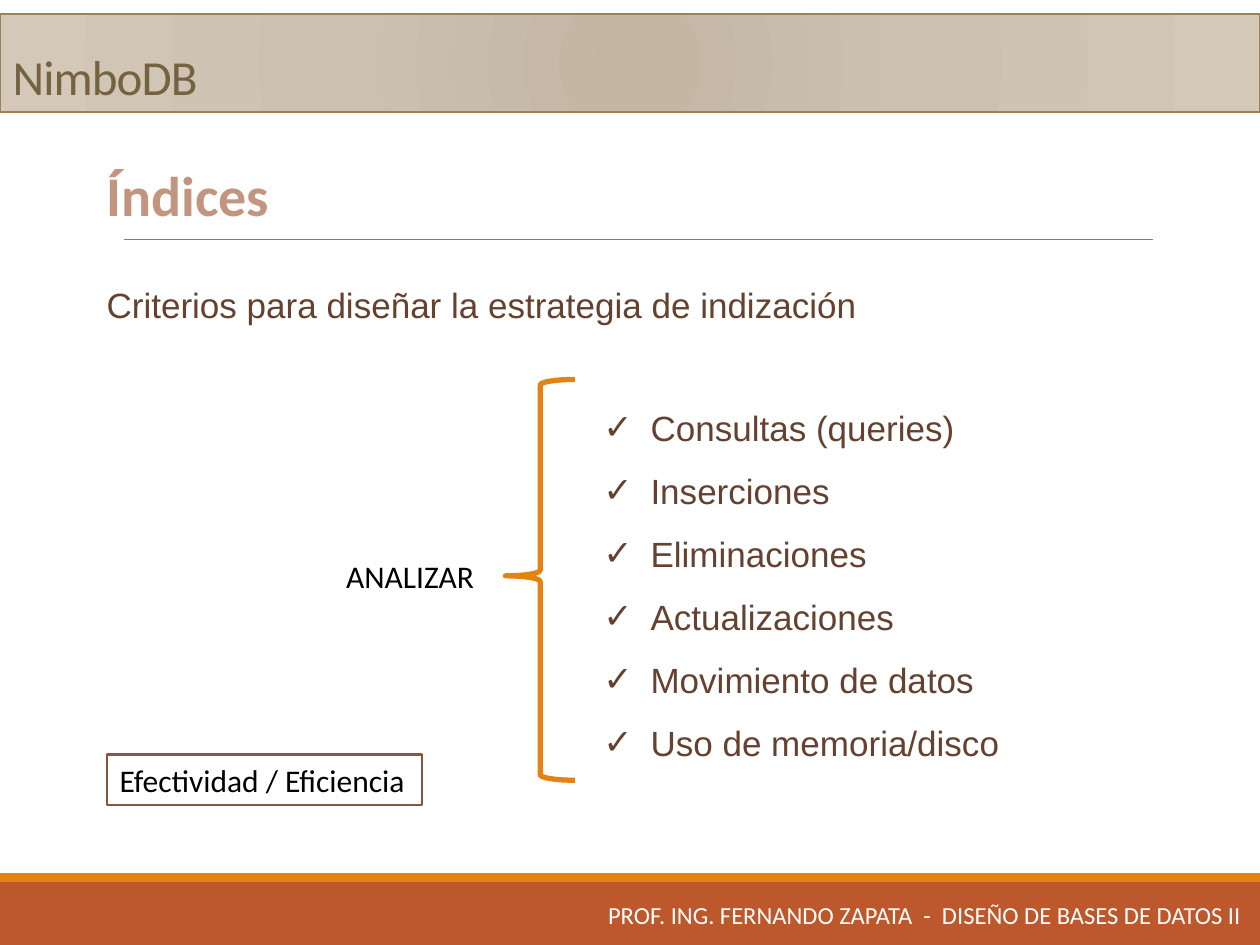
from lxml import etree
from pptx import Presentation
from pptx.dml.color import RGBColor
from pptx.enum.shapes import MSO_CONNECTOR as CONN, MSO_SHAPE as SHAPE
from pptx.enum.text import MSO_ANCHOR as ANCHOR, MSO_AUTO_SIZE as AUTO, PP_ALIGN as ALIGN
from pptx.oxml import parse_xml
from pptx.oxml.ns import nsdecls, qn
from pptx.util import Cm, Pt


def rgb(value):
    return RGBColor.from_string(value)


def write(sp, text, size, color, font="Calibri", bold=False):
    tf = sp.text_frame
    tf.text = text
    tf.auto_size = AUTO.NONE
    tf.word_wrap = True
    for p in tf.paragraphs:
        p.alignment = ALIGN.LEFT
        p.font.size = Pt(size)
        p.font.name = font
        p.font.bold = bold
        p.font.color.rgb = rgb(color)
    return tf


prs = Presentation()
prs.slide_width, prs.slide_height = Cm(25.4), Cm(19.05)
s = prs.slides.add_slide(prs.slide_layouts[1])
title, body = s.placeholders

for top, height, color in [(17.78, 1.27, "BD582C"), (17.6, 0.18, "E48312")]:
    sp = s.shapes.add_shape(SHAPE.RECTANGLE, 0, Cm(top), prs.slide_width, Cm(height))
    sp.shadow.inherit = False
    sp.fill.solid()
    sp.fill.fore_color.rgb = rgb(color)
    sp.line.fill.background()

rule = s.shapes.add_connector(CONN.STRAIGHT, Cm(2.49), Cm(4.83), Cm(23.24), Cm(4.83))
rule.line.color.rgb = rgb("808080")
rule.line.width = Pt(0.5)
etree.SubElement(rule._element.spPr, qn("a:effectLst"))

title.left, title.top, title.width, title.height = 0, Cm(0.28), prs.slide_width, Cm(1.98)
tf = write(title, "NimboDB", 28, "746241")
tf.vertical_anchor = ANCHOR.BOTTOM
p = tf.paragraphs[0]
p.line_spacing = 0.85
p.runs[0]._r.get_or_add_rPr().set("spc", "-50")
title.line.color.rgb = rgb("9B8357")
title.line.width = Pt(1)
stops = "".join(
    f'<a:gs pos="{pos * 1000}"><a:srgbClr val="{color}"/></a:gs>'
    for pos, color in [(0, "C2B5A2"), (45, "CCC1B1"), (100, "D4C8B8")]
)
title._element.spPr.find(qn("a:ln")).addprevious(parse_xml(
    f'<a:gradFill {nsdecls("a")} rotWithShape="1"><a:gsLst>{stops}</a:gsLst><a:path path="circle">'
    '<a:fillToRect l="100000" t="100000" r="100000" b="100000"/></a:path></a:gradFill>'
))

sp = s.shapes.add_textbox(Cm(1.9), Cm(3.12), Cm(16.4), Cm(1.63))
write(sp, "Índices", 32, "C29580", bold=True)

sp = s.shapes.add_textbox(Cm(10.72), Cm(17.93), Cm(14.68), Cm(1.02))
tf = write(sp, "PROF. ING. FERNANDO ZAPATA  -  DISEÑO DE BASES DE DATOS II", 14, "FFFFFF")
tf.vertical_anchor = ANCHOR.MIDDLE
tf.margin_right = Cm(0.38)
tf.paragraphs[0].alignment = ALIGN.RIGHT

sp = s.shapes.add_textbox(Cm(1.9), Cm(5.59), Cm(19.1), Cm(2.13))
write(sp, "Criterios para diseñar la estrategia de indización", 20, "654130", "Arial")

body.left, body.top, body.width, body.height = Cm(11.91), Cm(7.65), Cm(8.99), Cm(8.97)
criteria = [
    "Consultas (queries)",
    "Inserciones",
    "Eliminaciones",
    "Actualizaciones",
    "Movimiento de datos",
    "Uso de memoria/disco",
]
tf = write(body, "\n".join(criteria), 20, "654130", "Arial")
for p in tf.paragraphs:
    p.line_spacing = 1.5
    p.space_before = Pt(0)
    pPr = p._p.get_or_add_pPr()
    pPr.set("marL", str(Cm(0.95)))
    pPr.set("indent", str(-Cm(0.95)))
    pPr.find(qn("a:defRPr")).addprevious(parse_xml(f'<a:buChar {nsdecls("a")} char="✓"/>'))

brace = s.shapes.add_shape(SHAPE.LEFT_BRACE, Cm(10.19), Cm(7.65), Cm(1.4), Cm(8.08))
brace.adjustments[0], brace.adjustments[1] = 0.08, 0.49
brace.shadow.inherit = False
brace.fill.background()
brace.line.color.rgb = rgb("E48312")
brace.line.width = Pt(3)

sp = s.shapes.add_textbox(Cm(6.73), Cm(11.1), Cm(3.1), Cm(1.02))
write(sp, "ANALIZAR", 18, "000000").word_wrap = False

sp = s.shapes.add_shape(SHAPE.RECTANGLE, Cm(2.16), Cm(15.21), Cm(6.35), Cm(1.02))
sp.shadow.inherit = False
sp.fill.solid()
sp.fill.fore_color.rgb = rgb("FFFFFF")
sp.line.color.rgb = rgb("865640")
sp.line.width = Pt(1.25)
write(sp, "Efectividad / Eficiencia", 18, "000000").word_wrap = False

prs.save("out.pptx")
